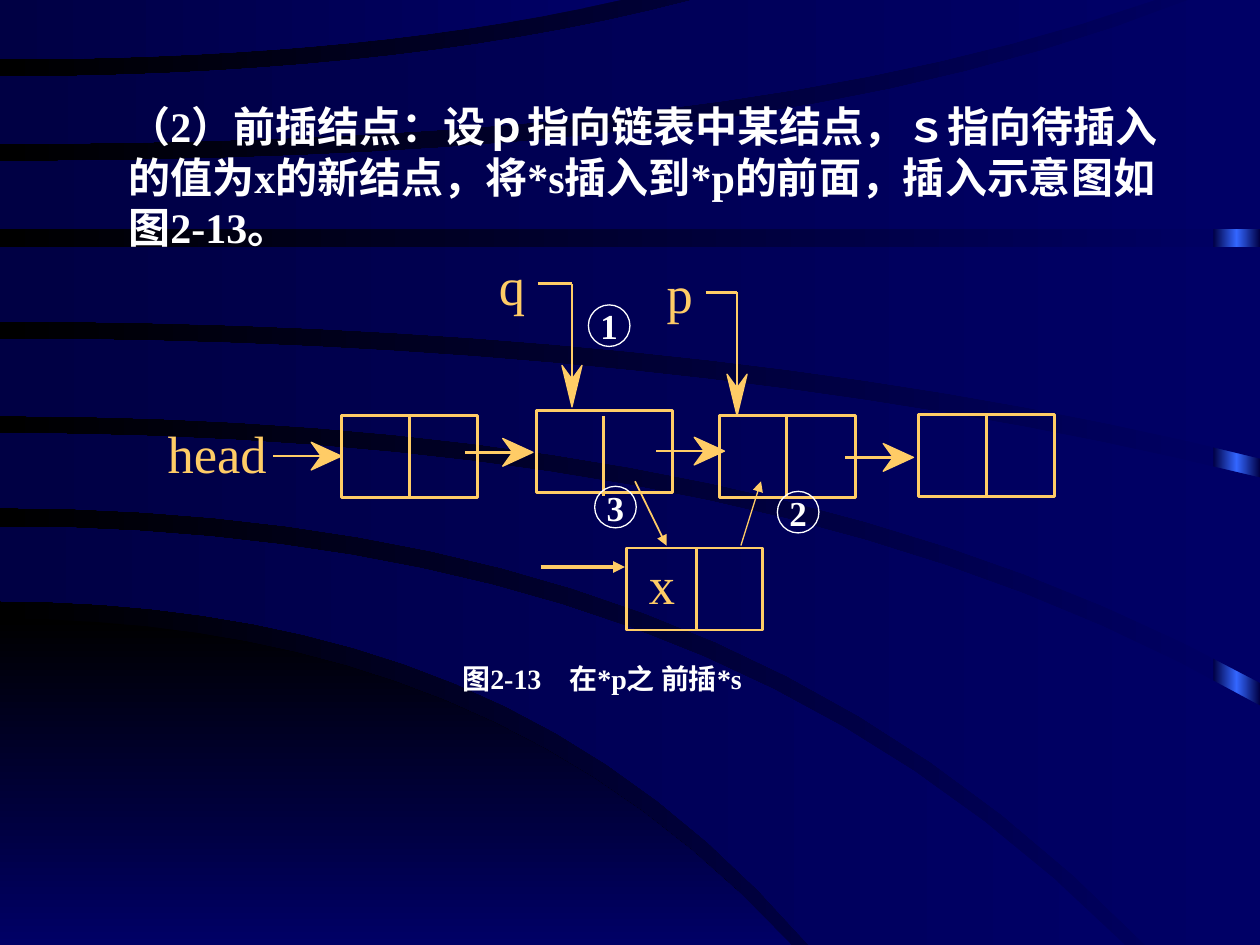
from copy import deepcopy

from lxml import etree
from pptx import Presentation
from pptx.dml.color import RGBColor
from pptx.enum.shapes import MSO_CONNECTOR as Connector, MSO_SHAPE as Shape
from pptx.enum.text import MSO_ANCHOR as Anchor, PP_ALIGN as Align
from pptx.oxml.ns import qn
from pptx.util import Inches, Pt

GOLD = RGBColor(0xFF, 0xCC, 0x66)
WHITE = RGBColor(0xFF, 0xFF, 0xFF)
BLACK = RGBColor(0, 0, 0)
NAVY = RGBColor(0, 0, 0x66)
DARK_NAVY = RGBColor(0, 0, 0x44)
BRIGHT_BLUE = RGBColor(0x33, 0x66, 0xFF)
FONT = "Times New Roman"
PAGE_WIDTH, PAGE_HEIGHT = 10, 7.5
NODE_WIDTH, NODE_HEIGHT = 1.08, 0.65
CURVE_STEPS = 16

# Curves: height at the left edge, height halfway, end x, end y
HILL = (4.91, 5.41, 6.28, 7.5), (7.5, 7.5, 6.28, 7.5)
BANDS = [
    ((4.18, 4.8, 8.93, 7.5), (4.77, 5.27, 6.42, 7.5)),
    ((3.44, 3.85, 10, 5.6), (4.03, 4.67, 9.09, 7.5)),
    ((2.69, 2.94, 10, 3.79), (3.3, 3.71, 10, 5.42)),
    ((1.96, 1.96, 10, 1.96), (2.55, 2.79, 10, 3.64)),
    ((1.28, 1.07, 9.43, 0), (1.82, 1.82, 10, 1.82)),
    ((0.61, 0.48, 5.5, 0), (1.14, 0.94, 9.17, 0)),
    ((0, 0, 4.93, 0), (0.47, 0.37, 4.93, 0)),
]


def curve_points(start, halfway, end_x, end_y):
    """Points of y = start + a*t^2 + b*t^4 through the halfway and end heights."""
    rise = end_y - start
    a = (16 * (halfway - start) - rise) / 3
    b = rise - a
    steps = [i / CURVE_STEPS for i in range(CURVE_STEPS + 1)]
    return [(end_x * t, start + a * t**2 + b * t**4) for t in steps]


def band_points(upper, lower):
    corner = []
    if upper[2] < lower[2] == PAGE_WIDTH:
        corner = [(PAGE_WIDTH, 0)]
    elif lower[2] < upper[2] == PAGE_WIDTH:
        corner = [(PAGE_WIDTH, PAGE_HEIGHT)]
    return curve_points(*upper) + corner + curve_points(*lower)[::-1]


def paint_gradient(fill, first, last, angle):
    fill.gradient()
    fill.gradient_angle = angle
    for stop, color in zip(fill.gradient_stops, (first, last)):
        stop.color.rgb = color


def add_outline(page, points):
    corners = [(Inches(x), Inches(y)) for x, y in points]
    builder = page.shapes.build_freeform(*corners[0])
    builder.add_line_segments(corners[1:], close=True)
    shape = builder.convert_to_shape()
    shape.shadow.inherit = False
    shape.line.fill.background()
    return shape


def add_preset(page, kind, left, top, width, height):
    shape = page.shapes.add_shape(kind, Inches(left), Inches(top), Inches(width), Inches(height))
    shape.shadow.inherit = False
    shape.fill.background()
    return shape


def add_line(page, start, end, weight=1.5, triangle=False):
    line = page.shapes.add_connector(Connector.STRAIGHT, *map(Inches, start + end))
    line.line.color.rgb = GOLD
    line.line.width = Pt(weight)
    if triangle:
        outline = line._element.spPr.find(qn("a:ln"))
        etree.SubElement(outline, qn("a:tailEnd"), type="triangle")
    etree.SubElement(line._element.spPr, qn("a:effectLst"))


def add_barbed_arrow(page, start, tip, down=False):
    x, y = tip
    if down:
        notch = (x, y - 0.22)
        barbs = (x - 0.08, y - 0.33), (x + 0.08, y - 0.33)
    else:
        notch = (x - 0.16, y)
        barbs = (x - 0.24, y + 0.11), (x - 0.24, y - 0.11)
    add_line(page, start, notch)
    head = add_outline(page, [barbs[0], tip, barbs[1], notch])
    head.fill.solid()
    head.fill.fore_color.rgb = GOLD
    head.line.color.rgb = GOLD
    head.line.width = Pt(0.75)


def set_text(frame, text, size, color, bold=False, align=None):
    para = frame.paragraphs[0]
    para.text = text
    para.alignment = align
    para.font.name, para.font.size, para.font.bold = FONT, Pt(size), bold
    para.font.color.rgb = color


def add_text(page, left, top, width, height, text, size, color, bold=False,
             wrap=True, margins=(0, 0), align=None):
    box = page.shapes.add_textbox(Inches(left), Inches(top), Inches(width), Inches(height))
    frame = box.text_frame
    frame.word_wrap = wrap
    frame.margin_left = frame.margin_right = Inches(margins[0])
    frame.margin_top = frame.margin_bottom = Inches(margins[1])
    set_text(frame, text, size, color, bold, align)


def add_node(page, left, top, divider):
    node = add_preset(page, Shape.RECTANGLE, left, top, NODE_WIDTH, NODE_HEIGHT)
    node.line.color.rgb = GOLD
    node.line.width = Pt(1.5)
    divider_top = max(top, 3.3)
    add_line(page, (divider, divider_top), (divider, divider_top + 0.64))


def add_step(page, left, top, number):
    circle = add_preset(page, Shape.OVAL, left, top, 0.33, 0.33)
    circle.line.color.rgb = WHITE
    circle.line.width = Pt(0.75)
    circle.text_frame.word_wrap = False
    circle.text_frame.vertical_anchor = Anchor.MIDDLE
    set_text(circle.text_frame, number, 20, WHITE, True, Align.CENTER)


def add_backdrop(page):
    paint_gradient(page.background.fill, NAVY, BLACK, 180)
    strip = add_preset(page, Shape.RECTANGLE, 9.63, 0, 0.37, PAGE_HEIGHT)
    strip.line.fill.background()
    paint_gradient(strip.fill, DARK_NAVY, DARK_NAVY, 180)
    # A third, bright stop in the middle of the strip
    stops = strip._element.spPr.find(".//" + qn("a:gsLst"))
    middle = deepcopy(stops[0])
    middle.set("pos", "50000")
    stops.insert(1, middle)
    strip.fill.gradient_stops[1].color.rgb = BRIGHT_BLUE

    paint_gradient(add_outline(page, band_points(*HILL)).fill, BLACK, NAVY, 270)
    for band in BANDS:
        paint_gradient(add_outline(page, band_points(*band)).fill, NAVY, DARK_NAVY, 180)


def main():
    deck = Presentation()
    deck.slide_width, deck.slide_height = Inches(PAGE_WIDTH), Inches(PAGE_HEIGHT)
    page = deck.slides.add_slide(deck.slide_layouts[6])
    add_backdrop(page)

    # Caption and explanation
    add_text(page, 3.67, 5.25, 2.33, 0.33, "图2-13　在*p之 前插*s", 16, WHITE, True,
             align=Align.JUSTIFY)
    add_text(page, 0.92, 0.75, 8.58, 1.3,
             "（2）前插结点：设ｐ指向链表中某结点，ｓ指向待插入的值为x的新结点，"
             "将*s插入到*p的前面，插入示意图如图2-13。",
             24, WHITE, True, margins=(0.1, 0.05))

    # List nodes, the new node last
    for node in [(2.71, 3.3, 3.25), (4.26, 3.26, 4.79), (5.71, 3.3, 6.24),
                 (7.29, 3.29, 7.83), (4.97, 4.35, 5.53)]:
        add_node(page, *node)

    # Labels
    for left, top, width, label in [(1.33, 3.34, 0.79, "head"), (3.96, 2.01, 0.21, "q"),
                                    (5.29, 2.07, 0.21, "p"), (5.15, 4.38, 0.25, "x")]:
        add_text(page, left, top, width, 0.5, label, 30, GOLD, wrap=False)

    # Links along the list
    for start, y in [(2.17, 3.62), (3.69, 3.59), (5.21, 3.58), (6.71, 3.63)]:
        add_barbed_arrow(page, (start, y), (start + 0.54, y))

    # Pointers q and p
    for left, right, y in [(4.27, 4.54, 2.25), (5.6, 5.85, 2.32)]:
        add_line(page, (left, y), (right, y))
        add_barbed_arrow(page, (right, y), (right, y + 0.98), down=True)

    # Links of the new node
    add_line(page, (5.04, 3.82), (5.29, 4.33), 1, triangle=True)
    add_line(page, (5.88, 4.33), (6.04, 3.82), 0.75, triangle=True)
    add_line(page, (4.29, 4.5), (4.96, 4.5), 2.25, triangle=True)

    # Step numbers
    for left, top, number in [(4.67, 2.42, "1"), (4.72, 3.86, "3"), (6.17, 3.9, "2")]:
        add_step(page, left, top, number)

    deck.save("out.pptx")


if __name__ == "__main__":
    main()
